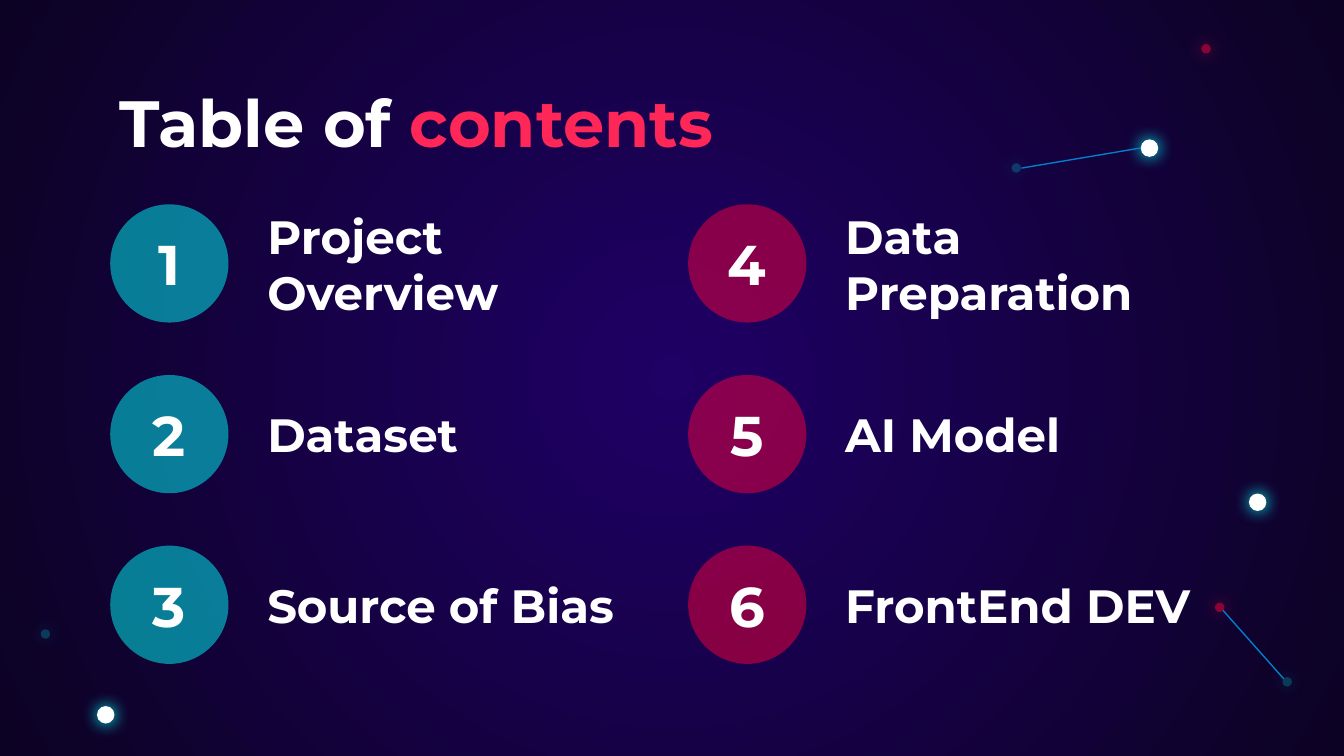
from dataclasses import dataclass

from lxml.etree import SubElement
from pptx import Presentation
from pptx.dml.color import RGBColor
from pptx.enum.shapes import MSO_CONNECTOR, MSO_SHAPE
from pptx.enum.text import MSO_ANCHOR, MSO_AUTO_SIZE, PP_ALIGN
from pptx.oxml.ns import qn
from pptx.util import Inches, Pt

COLORS = {
    "center": "1F0065",
    "edge": "0C0223",
    "white": "FFFFFF",
    "cyan": "00FFFD",
    "red": "FF003A",
    "pink": "FF2758",
    "blue": "007FCA",
}
FONT = "Montserrat"
STARS = {
    "bright": {"size": 0.13, "fill": "white", "alpha": 100, "glow": "cyan"},
    "cyan": {"size": 0.07, "fill": "cyan", "alpha": 20, "glow": "cyan"},
    "red": {"size": 0.07, "fill": "red", "alpha": 48, "glow": "pink"},
}
SKY = [
    ("bright", 7.87, 94.56),
    ("cyan", 3.38, 83.87),
    ("bright", 93.58, 66.44),
    ("red", 90.75, 80.34),
    ("cyan", 95.78, 90.2),
    ("red", 89.74, 6.46),
    ("bright", 85.53, 19.6),
    ("cyan", 75.62, 22.22),
]
LINKS = [(95.52, 89.8, 91, 80.75), (84.9, 19.57, 76, 22.24)]
CHAPTERS = [
    ("cyan", 49, ["Project Overview", "Dataset", "Source of Bias"]),
    ("red", 48, ["Data Preparation", "AI Model", "FrontEnd DEV"]),
]


@dataclass
class Box:
    left: float
    top: float
    width: float
    height: float

    def point(self, across, down):
        return self.left + self.width * across / 100, self.top + self.height * down / 100

    def cell(self, column, row, columns, rows):
        width, height = self.width / columns, self.height / rows
        return Box(self.left + column * width, self.top + row * height, width, height)

    def emu(self):
        return [Inches(side) for side in (self.left, self.top, self.width, self.height)]


def centered(x, y, width, height):
    return Box(x - width / 2, y - height / 2, width, height)


def rgb(name):
    return RGBColor.from_string(COLORS[name])


def paint_background(page):
    fill = page.background.fill
    fill.gradient()
    for stop, position, name in zip(fill.gradient_stops, (0, 1), ("center", "edge")):
        stop.position = position
        stop.color.rgb = rgb(name)
    gradient = page.element.find(".//" + qn("a:gradFill"))
    gradient.remove(gradient.find(qn("a:lin")))
    circle = SubElement(gradient, qn("a:path"), {"path": "circle"})
    SubElement(circle, qn("a:fillToRect"), dict.fromkeys("ltrb", "50000"))


def add_disc(page, box, color, alpha):
    disc = page.shapes.add_shape(MSO_SHAPE.OVAL, *box.emu())
    disc.shadow.inherit = False
    disc.fill.solid()
    disc.fill.fore_color.rgb = rgb(color)
    disc.line.fill.background()
    if alpha < 100:
        tint = disc.element.spPr.find(".//" + qn("a:srgbClr"))
        SubElement(tint, qn("a:alpha"), {"val": str(alpha * 1000)})
    return disc


def add_glow(disc, color):
    effects = disc.element.spPr.find(qn("a:effectLst"))
    shadow = SubElement(effects, qn("a:outerShdw"), {
        "blurRad": str(Pt(9)), "dist": "0", "dir": "0", "algn": "ctr", "rotWithShape": "0"})
    SubElement(shadow, qn("a:srgbClr"), {"val": COLORS[color]})


def add_sky(page, box):
    for kind, across, down in SKY:
        star = STARS[kind]
        place = centered(*box.point(across, down), star["size"], star["size"])
        add_glow(add_disc(page, place, star["fill"], star["alpha"]), star["glow"])
    for start_x, start_y, end_x, end_y in LINKS:
        ends = [*box.point(start_x, start_y), *box.point(end_x, end_y)]
        link = page.shapes.add_connector(MSO_CONNECTOR.STRAIGHT, *map(Inches, ends))
        link.line.color.rgb = rgb("blue")
        link.line.width = Pt(0.75)
        SubElement(link.element.spPr, qn("a:effectLst"))


def write(shape, spans, size, align=PP_ALIGN.LEFT):
    frame = shape.text_frame
    frame.word_wrap = True
    frame.auto_size = MSO_AUTO_SIZE.NONE
    frame.vertical_anchor = MSO_ANCHOR.MIDDLE
    frame.margin_left = frame.margin_right = Inches(0.1)
    frame.margin_top = frame.margin_bottom = Inches(0.1)
    para = frame.paragraphs[0]
    para.alignment = align
    for text, color in spans:
        span = para.add_run()
        span.text = text
        span.font.name = FONT
        span.font.size = Pt(size)
        span.font.bold = True
        span.font.color.rgb = rgb(color)


def add_heading(page, box):
    title = page.shapes.title
    title.left, title.top, title.width, title.height = box.emu()
    write(title, [("Table of ", "white"), ("contents", "pink")], 35)


def add_chapter(page, box, number, name, color, alpha):
    diameter = 0.88
    middle = box.top + diameter / 2
    add_disc(page, Box(box.left, box.top, diameter, diameter), color, alpha)
    badge = centered(box.left + diameter / 2, middle, 0.56, 0.65)
    label = Box(box.left + 1.07, middle - 0.35, 2.99, 0.7)
    write(page.shapes.add_textbox(*badge.emu()), [(str(number), "white")], 30, PP_ALIGN.CENTER)
    write(page.shapes.add_textbox(*label.emu()), [(name, "white")], 25)


def add_chapters(page, box):
    number = 0
    for column, (color, alpha, names) in enumerate(CHAPTERS):
        for row, name in enumerate(names):
            number += 1
            cell = box.cell(column, row, len(CHAPTERS), len(names))
            add_chapter(page, cell, number, name, color, alpha)


def main():
    deck = Presentation()
    slide_box = Box(0, 0, 10, 10 * 9 / 16)
    deck.slide_width, deck.slide_height = slide_box.emu()[2:]
    page = deck.slides.add_slide(deck.slide_layouts[5])
    paint_background(page)
    add_sky(page, slide_box)
    add_heading(page, Box(0.79, 0.59, 8.43, 0.62))
    add_chapters(page, Box(0.82, 1.52, 8.6, 3.81))
    deck.save("out.pptx")


if __name__ == "__main__":
    main()
